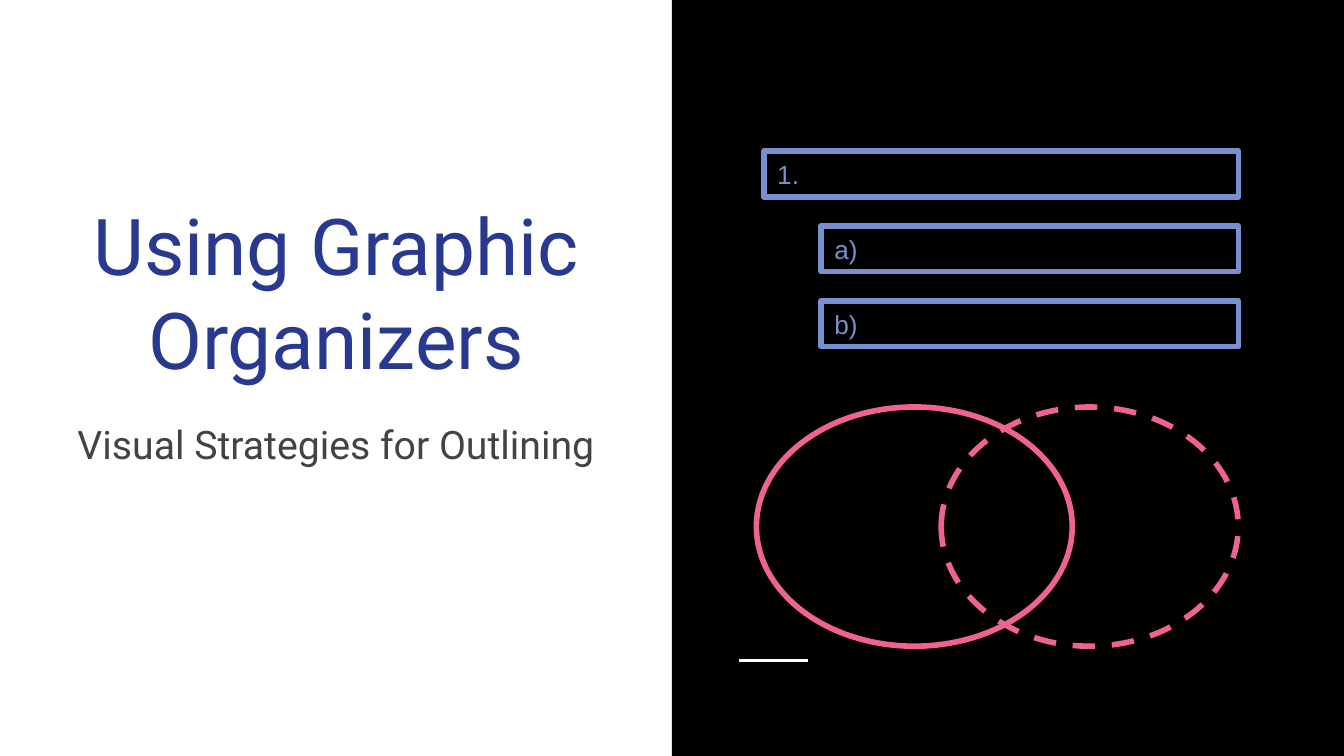
"""Build a title slide with an outline and a two-circle diagram on a dark panel."""
import pptx
import pptx.util
import pptx.dml.color
import pptx.enum.dml
import pptx.enum.shapes
import pptx.enum.text
import pptx.oxml.ns
import lxml.etree

THEME = {
    "panel": "000000", "rule": "FFFFFF", "title": "2A3990", "subtitle": "434343",
    "outline": "7890CD", "circle": "F06292",
    "title_size": 42, "subtitle_size": 21, "label_size": 14,
    "rule_width": 1.5, "border_width": 3,
    "heading_font": "Roboto", "label_font": "Arial",
}
SHAPES = pptx.enum.shapes.MSO_SHAPE
ANCHOR = pptx.enum.text.MSO_ANCHOR
ALIGN = pptx.enum.text.PP_ALIGN

deck = pptx.Presentation()
deck.slide_width = pptx.util.Inches(10)
deck.slide_height = deck.slide_width * 9 // 16
column, row = deck.slide_width / 100, deck.slide_height / 100
slide = deck.slides.add_slide(deck.slide_layouts[0])


def grid_box(left, top, width, height):
    """Turn percentages of the slide into lengths."""
    return [round(left * column), round(top * row), round(width * column), round(height * row)]


def write(shape, wording, align, size, font, color, frame_format):
    """Set the wording of a shape with its frame, paragraph and font formats."""
    frame = shape.text_frame
    frame.text = wording
    paragraph = frame.paragraphs[0]
    formats = [
        (frame, {"word_wrap": True, "auto_size": pptx.enum.text.MSO_AUTO_SIZE.NONE,
                 "margin_left": pptx.util.Inches(0.1), "margin_right": pptx.util.Inches(0.1),
                 **frame_format}),
        (paragraph, {"alignment": align, "space_before": pptx.util.Pt(0)}),
        (paragraph.runs[0].font, {"size": pptx.util.Pt(size), "name": font}),
    ]
    for target, values in formats:
        for name, value in values.items():
            setattr(target, name, value)
    paragraph.runs[0].font.color.rgb = pptx.dml.color.RGBColor.from_string(color)


panel = slide.shapes.add_shape(SHAPES.RECTANGLE, *grid_box(50, 0, 50, 100))
panel.shadow.inherit = False
panel.fill.solid()
panel.fill.fore_color.rgb = pptx.dml.color.RGBColor.from_string(THEME["panel"])
panel.line.fill.background()

rule_left, rule_top, rule_length, _ = grid_box(55, 87.4, 5.1, 0)
rule = slide.shapes.add_connector(
    pptx.enum.shapes.MSO_CONNECTOR.STRAIGHT,
    rule_left, rule_top, rule_left + rule_length, rule_top)
rule.line.color.rgb = pptx.dml.color.RGBColor.from_string(THEME["rule"])
rule.line.width = pptx.util.Pt(THEME["rule_width"])
lxml.etree.SubElement(rule.element.spPr, pptx.oxml.ns.qn("a:effectLst"))

headings = [
    ("title", "Using Graphic Organizers", 22.4, 30.4, ANCHOR.BOTTOM),
    ("subtitle", "Visual Strategies for Outlining", 53.87, 24.7, ANCHOR.TOP),
]
for heading, (role, wording, top, height, anchor) in zip(slide.placeholders, headings):
    place = zip(("left", "top", "width", "height"), grid_box(2.9, top, 44.2, height))
    for name, value in place:
        setattr(heading, name, value)
    write(heading, wording, ALIGN.CENTER, THEME[role + "_size"], THEME["heading_font"], THEME[role],
          {"vertical_anchor": anchor, "margin_top": pptx.util.Inches(0.1),
           "margin_bottom": pptx.util.Inches(0.1)})

outline_right, outline_top, outline_pitch, outline_height = 92.15, 20, 9.9, 6.04
entries = []
for level, (label, left) in enumerate([("1.", 56.85), ("a)", 61.1), ("b)", 61.1)]):
    entry = slide.shapes.add_shape(SHAPES.RECTANGLE, *grid_box(
        left, outline_top + level * outline_pitch, outline_right - left, outline_height))
    write(entry, label, ALIGN.LEFT, THEME["label_size"], THEME["label_font"], THEME["outline"],
          {"vertical_anchor": ANCHOR.MIDDLE, "margin_top": 0, "margin_bottom": 0})
    entries.append((entry, "outline"))

circles = [
    (slide.shapes.add_shape(SHAPES.OVAL, *grid_box(left, 53.84, width, 31.64)), "circle")
    for left, width in [(56.28, 23.5), (70.03, 22.1)]
]
for figure, role in entries + circles:
    figure.shadow.inherit = False
    figure.fill.background()
    figure.line.color.rgb = pptx.dml.color.RGBColor.from_string(THEME[role])
    figure.line.width = pptx.util.Pt(THEME["border_width"])
dashed_circle = circles[-1][0]
dashed_circle.line.dash_style = pptx.enum.dml.MSO_LINE.DASH

deck.save("out.pptx")
